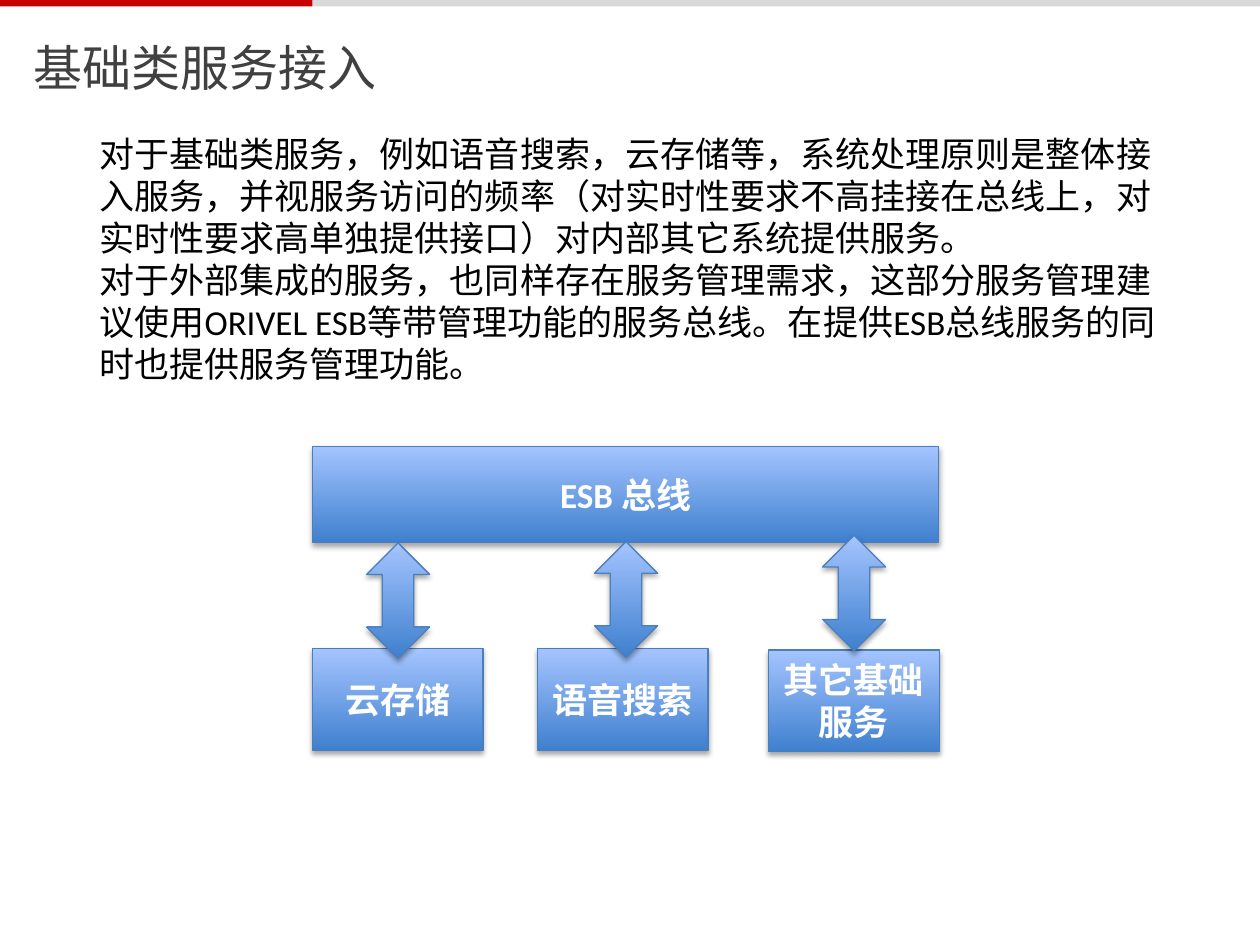
from lxml import etree
from pptx import Presentation
from pptx.dml.color import RGBColor
from pptx.enum.shapes import MSO_SHAPE
from pptx.enum.text import MSO_ANCHOR, MSO_AUTO_SIZE, PP_ALIGN
from pptx.oxml.ns import qn
from pptx.util import Pt

RECTANGLE = MSO_SHAPE.RECTANGLE
DOUBLE_ARROW = MSO_SHAPE.UP_DOWN_ARROW
MIDDLE = MSO_ANCHOR.MIDDLE
FIT_SHAPE = MSO_AUTO_SIZE.SHAPE_TO_FIT_TEXT
LEFT, CENTER = PP_ALIGN.LEFT, PP_ALIGN.CENTER

COLORS = {
    "red": "C40000", "grey": "D9D9D9", "title": "404040", "text": "000000",
    "white": "FFFFFF", "dark_blue": "3F80CE", "light_blue": "A4C4FF",
    "outline": "4B7EBC", "shadow": "000000",
}
LATIN_FONT, CHINESE_FONT = "Calibri", "Noto Sans CJK SC"


def rgb(name):
    return RGBColor.from_string(COLORS[name])


class SlideBuilder:
    def __init__(self, slide):
        self.slide = slide
        self.title = {"size": Pt(28), "name": CHINESE_FONT, "bold": False}
        self.body = {"size": Pt(20), "name": LATIN_FONT, "bold": False}
        self.label = {"size": Pt(20), "name": LATIN_FONT, "bold": True}

    def add_lines(self, frame, lines, style, color, alignment=LEFT):
        for index, line in enumerate(lines):
            paragraph = frame.paragraphs[0] if index == 0 else frame.add_paragraph()
            paragraph.alignment = alignment
            run = paragraph.add_run()
            run.text = line
            for attribute, value in style.items():
                setattr(run.font, attribute, value)
            run.font.color.rgb = rgb(color)
            east_asian = etree.SubElement(run.font._element, qn("a:ea"))
            east_asian.set("typeface", CHINESE_FONT)

    def text(self, box, lines, style, color, wrap=True):
        frame = self.slide.shapes.add_textbox(*map(Pt, box)).text_frame
        frame.word_wrap = wrap
        frame.auto_size = FIT_SHAPE
        self.add_lines(frame, lines, style, color)

    def band(self, box, color):
        shape = self.slide.shapes.add_shape(RECTANGLE, *map(Pt, box))
        shape.shadow.inherit = False
        shape.fill.solid()
        shape.fill.fore_color.rgb = rgb(color)
        shape.line.fill.background()

    def block(self, kind, box, label=None):
        shape = self.slide.shapes.add_shape(kind, *map(Pt, box))
        shape.fill.gradient()
        shape.fill.gradient_angle = 90
        for stop, color in zip(shape.fill.gradient_stops, ("dark_blue", "light_blue")):
            stop.color.rgb = rgb(color)
        shape.line.color.rgb = rgb("outline")
        shape.line.width = Pt(0.75)
        self.drop_shadow(shape)
        if label:
            shape.text_frame.word_wrap = True
            shape.text_frame.vertical_anchor = MIDDLE
            self.add_lines(shape.text_frame, [label], self.label, "white", CENTER)

    def drop_shadow(self, shape):
        shape.shadow.inherit = False
        effects = shape._element.spPr.find(qn("a:effectLst"))
        shadow = etree.SubElement(effects, qn("a:outerShdw"), {
            "blurRad": str(Pt(3.1)), "dist": str(Pt(1.8)),
            "dir": "5400000", "rotWithShape": "0"})
        color = etree.SubElement(shadow, qn("a:srgbClr"), val=COLORS["shadow"])
        etree.SubElement(color, qn("a:alpha"), val="35000")


def main():
    presentation = Presentation()
    presentation.slide_width, presentation.slide_height = Pt(720), Pt(540)
    builder = SlideBuilder(presentation.slides.add_slide(presentation.slide_layouts[6]))

    # Top band
    left = 178.5
    builder.band((left, 0, 720 - left, 3.6), "grey")
    builder.band((0, 0, left, 3.6), "red")

    # Title and explanation
    builder.text((12.25, 18, 212.4, 41), ["基础类服务接入"], builder.title, "title", wrap=False)
    builder.text((49.7, 72, 635, 152.6), [
        "对于基础类服务，例如语音搜索，云存储等，系统处理原则是整体接入服务，"
        "并视服务访问的频率（对实时性要求不高挂接在总线上，"
        "对实时性要求高单独提供接口）对内部其它系统提供服务。",
        "对于外部集成的服务，也同样存在服务管理需求，"
        "这部分服务管理建议使用ORIVEL ESB等带管理功能的服务总线。"
        "在提供ESB总线服务的同时也提供服务管理功能。",
    ], builder.body, "text")

    # Service bus and the services below it
    builder.block(RECTANGLE, (left, 255, 358, 55), "ESB 总线")
    services = [("云存储", left, 370.8), ("语音搜索", 307.2, 370.8),
                ("其它基础服务", 439.2, 371.5)]
    for label, x, y in services:
        builder.block(RECTANGLE, (x, y, 97.5, 58), label)

    # Two-way arrows, evenly spaced
    for index, y in enumerate((310.3, 309.6, 306)):
        builder.block(DOUBLE_ARROW, (209.5 + index * 130.3, y, 36, 66))

    presentation.save("out.pptx")


if __name__ == "__main__":
    main()
